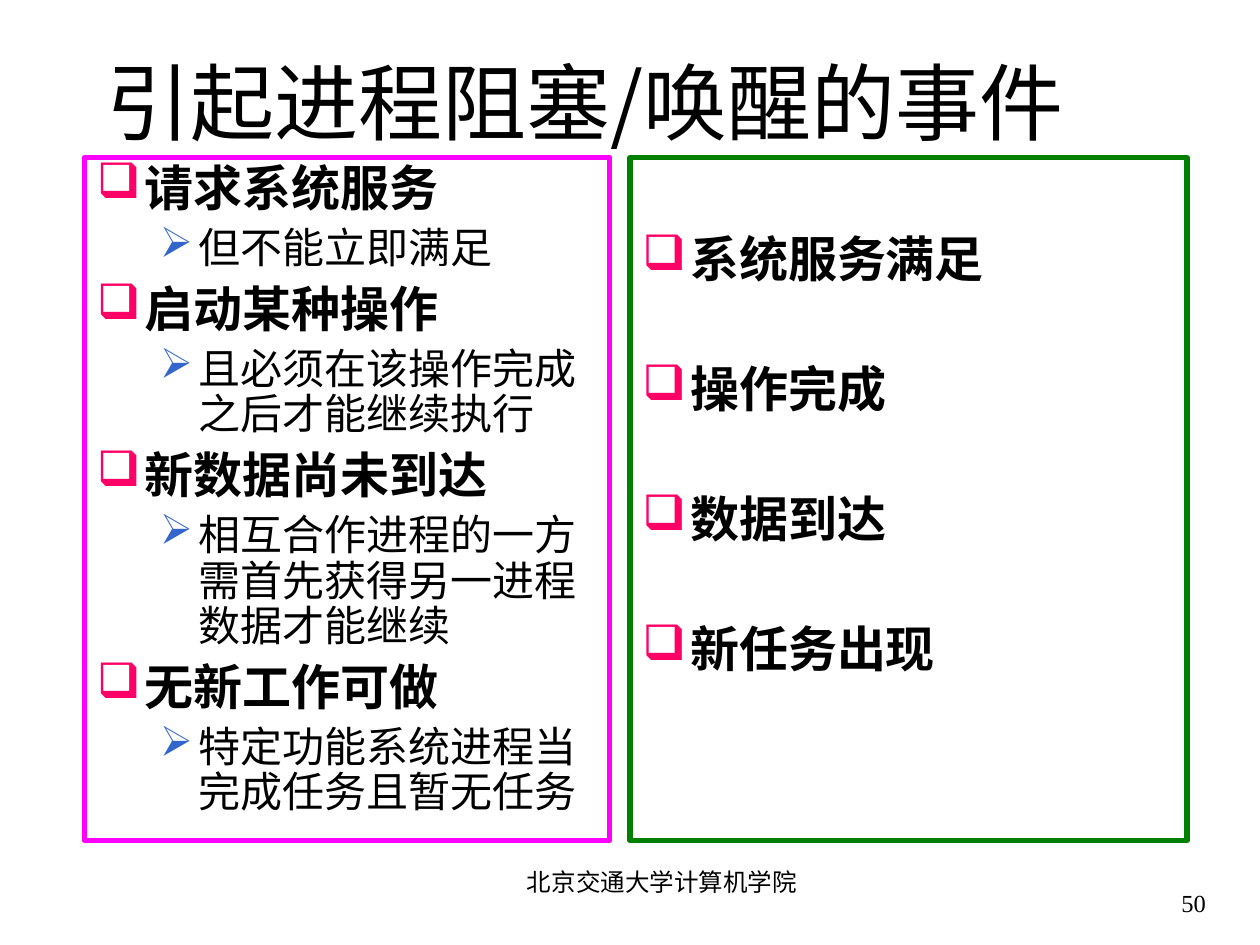
from lxml.etree import SubElement
from pptx import Presentation
from pptx.dml.color import RGBColor
from pptx.enum.shapes import MSO_SHAPE
from pptx.enum.text import MSO_ANCHOR, PP_ALIGN
from pptx.oxml.ns import qn
from pptx.util import Inches, Pt

COLORS = {
    "text": "000000",
    "block": "FF00FF",
    "wake": "008000",
    "square": "FF0066",
    "arrow": "3366CC",
}
SANS = "Noto Sans CJK SC"
SERIF = "Times New Roman"
LEVELS = [
    {"mark": "❑", "color": "square", "size": 28, "bold": True,
     "margin": 0.38, "indent": -0.38, "before": 7},
    {"mark": "➢", "color": "arrow", "size": 24, "bold": False,
     "margin": 0.81, "indent": -0.31, "before": 6},
]
BLOCK_EVENTS = [
    ("请求系统服务", 0),
    ("但不能立即满足", 1),
    ("启动某种操作", 0),
    ("且必须在该操作完成之后才能继续执行", 1),
    ("新数据尚未到达", 0),
    ("相互合作进程的一方需首先获得另一进程数据才能继续", 1),
    ("无新工作可做", 0),
    ("特定功能系统进程当完成任务且暂无任务", 1),
]
WAKE_EVENTS = [(text, 0) for text in ("系统服务满足", "操作完成", "数据到达", "新任务出现")]


def apply(target, values):
    for name, value in values.items():
        setattr(target, name, value)


class SlideBuilder:
    def __init__(self, page):
        self.page = page

    def frame(self, shape, anchor=MSO_ANCHOR.TOP, top=0.05):
        frame = shape.text_frame
        apply(frame, {
            "word_wrap": True,
            "vertical_anchor": anchor,
            "margin_left": Inches(0.1),
            "margin_right": Inches(0.1),
            "margin_top": Inches(top),
            "margin_bottom": Inches(0.05),
        })
        return frame

    def add_span(self, para, text, size, font=SANS, bold=False):
        span = para.add_run()
        span.text = text
        apply(span.font, {"size": Pt(size), "name": font, "bold": bold})
        span.font.color.rgb = RGBColor.from_string(COLORS["text"])
        SubElement(span.font._element, qn("a:ea"), typeface=SANS)

    def label(self, place, text, size, font, align, anchor):
        box = self.page.shapes.add_textbox(*map(Inches, place))
        para = self.frame(box, anchor).paragraphs[0]
        para.alignment = align
        self.add_span(para, text, size, font)

    def bullet(self, para, level):
        props = para._p.get_or_add_pPr()
        props.set("marL", str(Inches(level["margin"])))
        props.set("indent", str(Inches(level["indent"])))
        color = SubElement(props, qn("a:buClr"))
        SubElement(color, qn("a:srgbClr"), val=COLORS[level["color"]])
        SubElement(props, qn("a:buChar"), char=level["mark"])

    def panel(self, place, color, events, top=0.05, before=None):
        box = self.page.shapes.add_shape(MSO_SHAPE.RECTANGLE, *map(Inches, place))
        box.shadow.inherit = False
        box.fill.background()
        box.line.color.rgb = RGBColor.from_string(COLORS[color])
        box.line.width = Pt(3)
        frame = self.frame(box, top=top)
        for index, (text, depth) in enumerate(events):
            para = frame.add_paragraph() if index else frame.paragraphs[0]
            level = LEVELS[depth]
            self.bullet(para, level)
            apply(para, {
                "level": depth,
                "alignment": PP_ALIGN.LEFT,
                "line_spacing": 0.9,
                "space_before": Pt((before or level["before"]) if index else 0),
            })
            self.add_span(para, text, level["size"], bold=level["bold"])


def main():
    deck = Presentation()
    apply(deck, {"slide_width": Inches(10), "slide_height": Inches(7.5)})
    builder = SlideBuilder(deck.slides.add_slide(deck.slide_layouts[6]))
    builder.label((8.67, 6.83, 1, 0.5), "50", 14, SERIF, PP_ALIGN.RIGHT, MSO_ANCHOR.BOTTOM)
    builder.label((3.67, 6.83, 3.17, 0.5), "北京交通大学计算机学院", 14, SERIF,
                  PP_ALIGN.CENTER, MSO_ANCHOR.TOP)
    builder.label((0.75, 0.5, 8.5, 0.75), "引起进程阻塞/唤醒的事件", 48, SANS,
                  PP_ALIGN.LEFT, MSO_ANCHOR.BOTTOM)
    builder.panel((0.67, 1.25, 4.17, 5.42), "block", BLOCK_EVENTS)
    builder.panel((5, 1.25, 4.42, 5.42), "wake", WAKE_EVENTS, top=0.62, before=44)
    deck.save("out.pptx")


if __name__ == "__main__":
    main()
